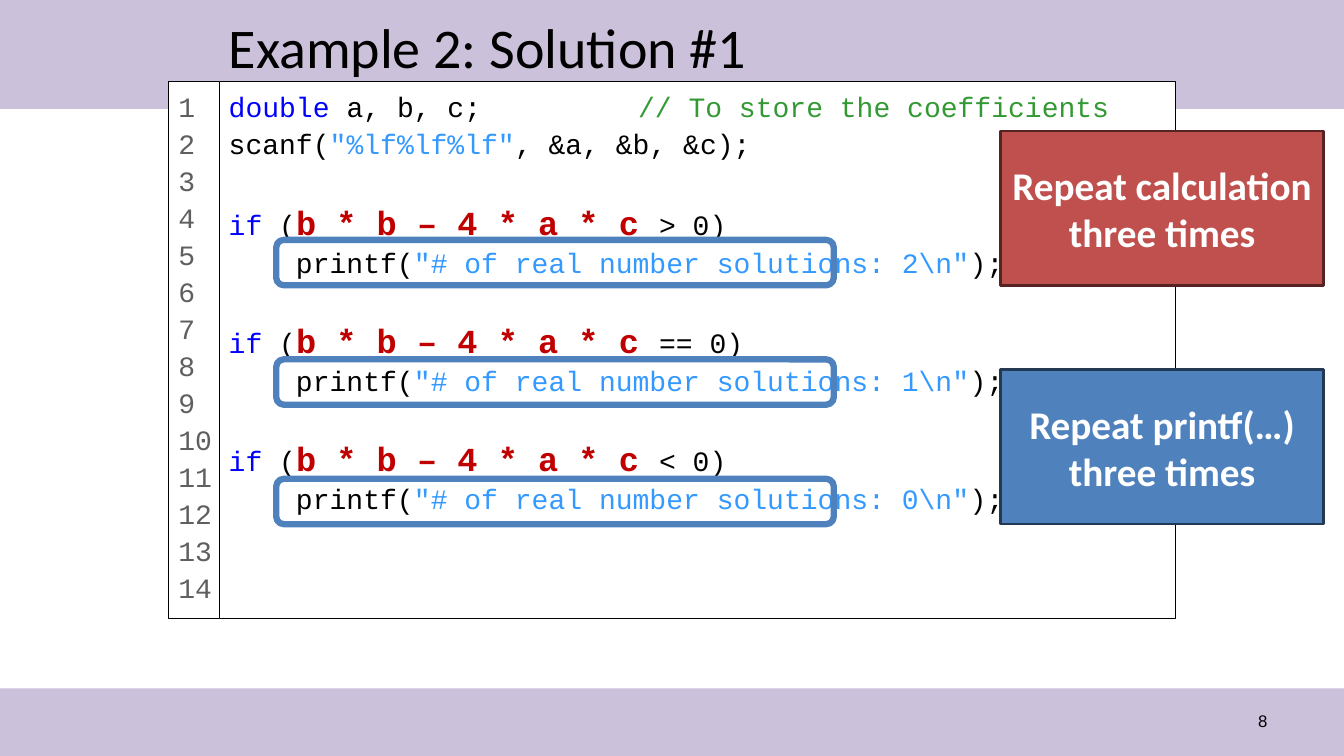
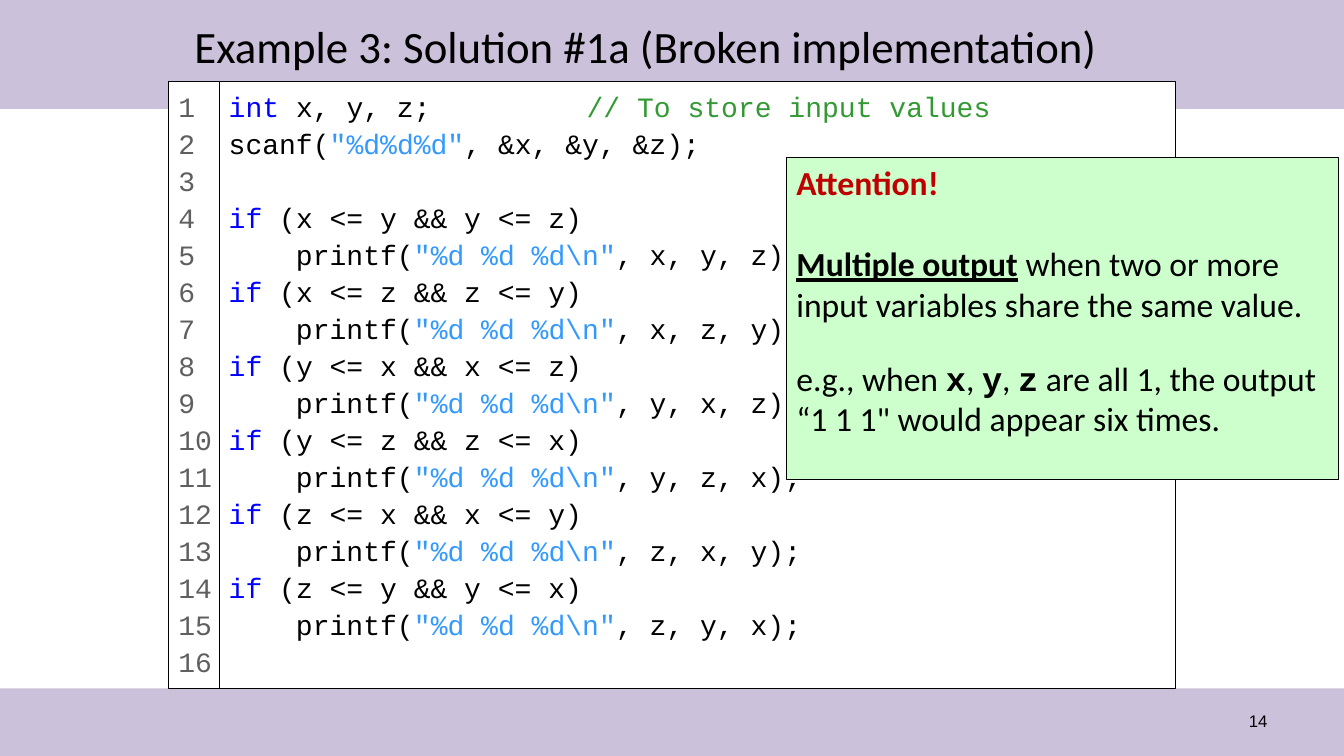
from itertools import permutations

from lxml.etree import SubElement
from pptx import Presentation
from pptx.dml.color import RGBColor
from pptx.enum.shapes import MSO_SHAPE as Shape
from pptx.enum.text import MSO_ANCHOR as Anchor, PP_ALIGN as Align
from pptx.oxml.ns import qn
from pptx.util import Inches, Pt

# Shared look
BAND, BLACK, WHITE, RED, BLUE = "CCC1DA", "000000", "FFFFFF", "C00000", "4F81BD"
WIDTH, HEIGHT = 13.33, 7.5
CODE_LEFT, CODE_TOP, CODE_WIDTH = 2.17, 0.81, 9.49
NUMBER_LEFT, NUMBER_WIDTH = 1.67, 0.51
BLANK_LINE = 26.4
KEYWORD, STRING, NOTE = {"color": "0000FF"}, {"color": "3399FF"}, {"color": "339933"}
STRONG = {"color": RED, "size": 24, "bold": True}
MONO = {"font": "Courier New", "bold": True}


# Content: a paragraph is (space before, [(text, format), ...])
def declaration(kind, names, note):
    return 0, [(kind, KEYWORD), (f" {names};\t", {}), (note, NOTE)]


def call(function, literal, arguments="", indent=""):
    return 0, [(f"{indent}{function}(", {}), (literal, STRING), (f"{arguments});", {})]


def roots_code():
    lines = [declaration("double", "a, b, c", "// To store the coefficients"),
             call("scanf", '"%lf%lf%lf"', ", &a, &b, &c")]
    for test, count in ((">", 2), ("==", 1), ("<", 0)):
        lines.append((BLANK_LINE, [("if", KEYWORD), (" (", {}),
                                   ("b * b – 4 * a * c ", STRONG), (f"{test} 0)", {})]))
        lines.append(call("printf", f'"# of real number solutions: {count}\\n"', indent="    "))
    return lines


def sorting_code():
    lines = [declaration("int", "x, y, z", "// To store input values"),
             call("scanf", '"%d%d%d"', ", &x, &y, &z")]
    for order, (low, mid, high) in enumerate(permutations("xyz")):
        lines.append((0 if order else BLANK_LINE,
                      [("if", KEYWORD), (f" ({low} <= {mid} && {mid} <= {high})", {})]))
        lines.append(call("printf", '"%d %d %d\\n"', f", {low}, {mid}, {high}", "    "))
    return lines


CALLOUTS = [
    ("Repeat calculation three times", 1.3, "C0504D", "542322"),
    ("Repeat printf(…) three times", 3.67, BLUE, "233953"),
]
ATTENTION = [
    (0, [("Attention!", {"color": RED, "bold": True})]),
    (29, [("Multiple output", {"bold": True, "underline": True}),
          (" when two or more input variables share the same value.", {})]),
    (24.4, [("e.g., when ", {}), ("x", MONO), (", ", {}), ("y", MONO), (", ", {}), ("z", MONO),
            (" are all 1, the output “1 1 1\" would appear six times.", {})]),
]


# Drawing helpers
def rgb(value):
    return RGBColor.from_string(value)


def add_box(page, left, top, width, height, fill=None, line=None, weight=0.75,
            kind=Shape.RECTANGLE):
    box = page.shapes.add_shape(kind, Inches(left), Inches(top), Inches(width), Inches(height))
    box.shadow.inherit = False
    if fill:
        box.fill.solid()
        box.fill.fore_color.rgb = rgb(fill)
    else:
        box.fill.background()
    if line:
        box.line.color.rgb = rgb(line)
        box.line.width = Pt(weight)
    else:
        box.line.fill.background()
    return box


def write(box, paragraphs, font="Calibri", size=24, color=BLACK, bold=False,
          align=Align.LEFT, anchor=Anchor.TOP, spacing=None, tab=None):
    frame = box.text_frame
    frame.word_wrap = True
    frame.vertical_anchor = anchor
    if isinstance(paragraphs, str):
        paragraphs = [(0, [(paragraphs, {})])]
    base = {"font": font, "size": size, "color": color, "bold": bold, "underline": False}
    for index, (before, spans) in enumerate(paragraphs):
        para = frame.add_paragraph() if index else frame.paragraphs[0]
        if tab and any("\t" in text for text, _ in spans):
            stops = SubElement(para._p.get_or_add_pPr(), qn("a:tabLst"))
            SubElement(stops, qn("a:tab"), pos=str(Inches(tab)), algn="l")
        para.alignment = align
        if spacing:
            para.line_spacing = spacing
        if before:
            para.space_before = Pt(before)
        for text, changes in spans:
            look = {**base, **changes}
            span = para.add_run()
            span.text = text
            span.font.name = look["font"]
            span.font.size = Pt(look["size"])
            span.font.bold = look["bold"]
            span.font.underline = look["underline"]
            span.font.color.rgb = rgb(look["color"])


def add_text(page, left, top, width, height, text, **style):
    box = page.shapes.add_textbox(Inches(left), Inches(top), Inches(width), Inches(height))
    write(box, text, anchor=Anchor.MIDDLE, **style)


def add_page(deck, number, title, title_left, title_width, title_size):
    page = deck.slides.add_slide(deck.slide_layouts[6])
    add_box(page, 0, 0, WIDTH, 1.08, BAND)
    add_box(page, 0, 6.83, WIDTH, 0.67, BAND)
    add_text(page, 9.56, 6.95, 3.11, 0.4, str(number), font="Arial", size=12, align=Align.RIGHT)
    add_text(page, title_left, 0.18, title_width, 0.55, title, size=title_size)
    return page


def add_listing(page, lines, line_count, height, note_tab):
    style = {"font": "Courier New", "size": 20, "spacing": 1.1}
    code = add_box(page, CODE_LEFT, CODE_TOP, CODE_WIDTH, height, WHITE, BLACK)
    write(code, lines, tab=note_tab, **style)
    numbers = add_box(page, NUMBER_LEFT, CODE_TOP, NUMBER_WIDTH, height, WHITE, BLACK)
    numbers.text_frame.margin_right = 0
    write(numbers, [(0, [(str(n), {})]) for n in range(1, line_count + 1)],
          color="5F5F5F", **style)


def main():
    deck = Presentation()
    deck.slide_width, deck.slide_height = Inches(WIDTH), Inches(HEIGHT)

    # Repeated work in the first solution
    page = add_page(deck, 8, "Example 2: Solution #1", 2.17, 9, 40)
    add_listing(page, roots_code(), 14, 5.33, 4.06)
    for row in range(3):
        add_box(page, 2.74, 2.38 + row * 1.185, 5.53, 0.45, line=BLUE, weight=4.5,
                kind=Shape.ROUNDED_RECTANGLE)
    for text, top, fill, line in CALLOUTS:
        callout = add_box(page, 9.92, top, 3.21, 1.53, fill, line, 2)
        write(callout, text, size=28, color=WHITE, bold=True,
              align=Align.CENTER, anchor=Anchor.MIDDLE)

    # Broken sorting example
    page = add_page(deck, 14, "Example 3: Solution #1a (Broken implementation)", 1.83, 9.67, 32)
    add_listing(page, sorting_code(), 16, 6.02, 3.55)
    write(add_box(page, 7.8, 1.56, 5.48, 3.2, "CCFFCC", BLACK), ATTENTION)

    deck.save("out.pptx")


if __name__ == "__main__":
    main()
